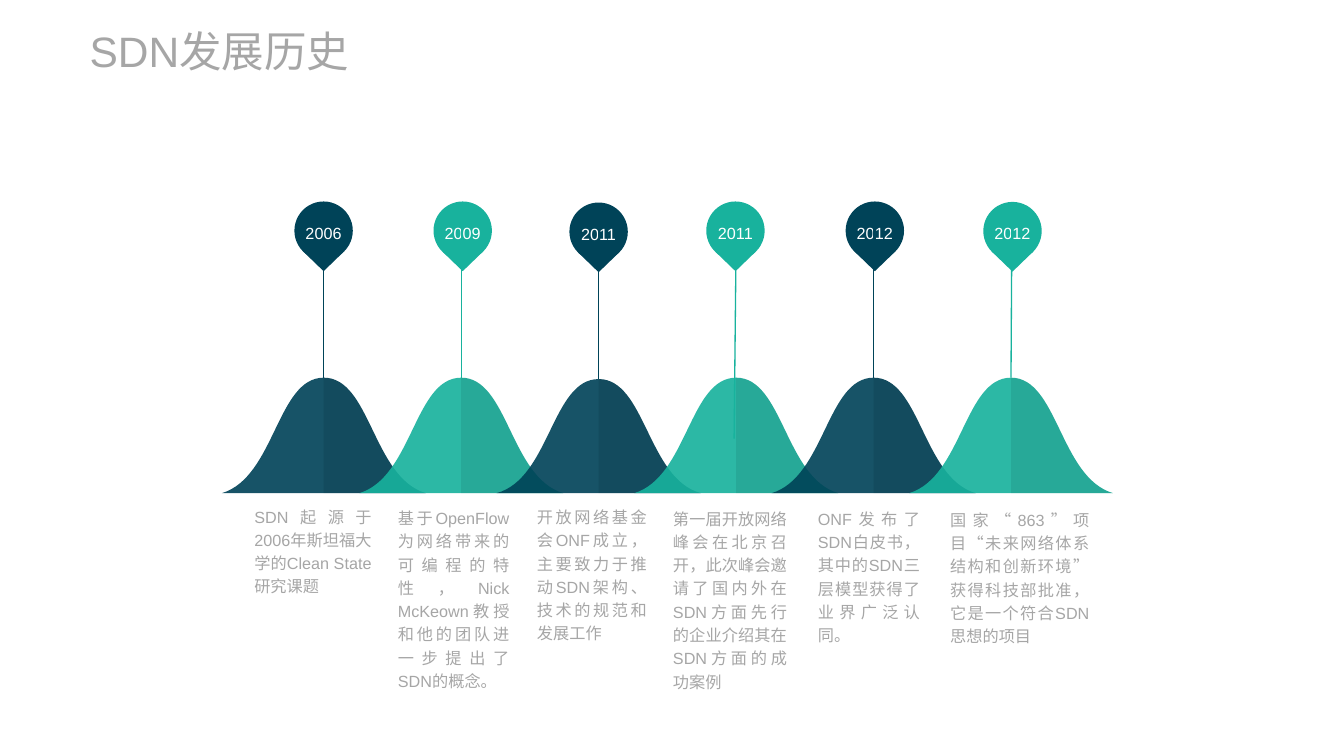
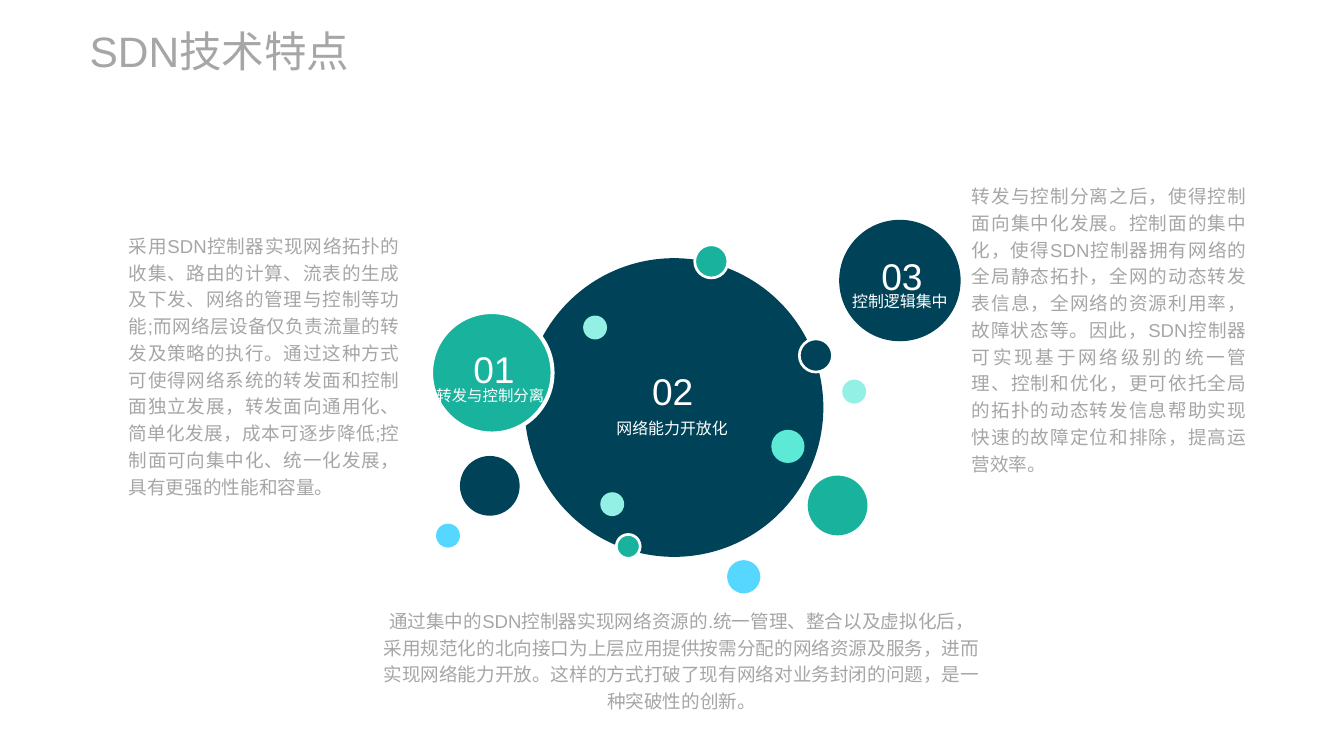
from lxml.etree import SubElement
from pptx import Presentation
from pptx.dml.color import RGBColor
from pptx.enum.shapes import MSO_CONNECTOR, MSO_SHAPE
from pptx.enum.text import MSO_ANCHOR, MSO_AUTO_SIZE, PP_ALIGN
from pptx.oxml.ns import qn
from pptx.util import Pt

FONT = "Arial"
NAVY, TEAL, MINT, AQUA, SKY = "004358", "18B29D", "92F0E4", "5CE9D6", "56D7FF"
GREY, WHITE = "A6A6A6", "FFFFFF"
SHADE = {NAVY: "00222C", TEAL: "0C594F"}

HISTORY = [
    ("2006", NAVY, (191.6, 379, 88.5, 69),
     "SDN起源于2006年斯坦福大学的Clean State研究课题"),
    ("2009", TEAL, (299.7, 380, 84.2, 122),
     "基于OpenFlow 为网络带来的可编程的特性，Nick McKeown教授和他的团队进一步提出了SDN的概念。"),
    ("2011", NAVY, (404.5, 379.2, 83, 104),
     "开放网络基金会ONF成立，主要致力于推动SDN架构、技术的规范和发展工作"),
    ("2011", TEAL, (507, 380.5, 86, 122),
     "第一届开放网络峰会在北京召开，此次峰会邀请了国内外在SDN方面先行的企业介绍其在SDN方面的成功案例"),
    ("2012", NAVY, (616.2, 380.5, 77, 87),
     "ONF发布了SDN白皮书，其中的SDN三层模型获得了业界广泛认同。"),
    ("2012", TEAL, (715.8, 381.4, 105, 104),
     "国家“863”项目“未来网络体系结构和创新环境” 获得科技部批准，它是一个符合SDN思想的项目"),
]
FIRST, STEP = 243.9, 103.55
BASE, HALF = 371.5, 76.8
PEAKS = [284.5, 284.5, 285.6, 284.5, 284.5, 284.5]
PIN = 44
PINS = [(243.8, 151.8), (348.6, 151.8), (451, 152.6),
        (554.1, 151.8), (659.1, 151.8), (762.8, 152.1)]
STEMS = {3: (0, 183, -1.5, 330.5), 5: (0.75, 160.5, 0, 284.5)}

BUBBLES = [
    (395.3, 194.5, 225, NAVY, 0),
    (523.4, 184.4, 25, TEAL, 2),
    (464.3, 402.6, 18, TEAL, 2),
    (634.5, 286, 18, MINT, 0),
    (547.8, 422, 25, SKY, 0),
    (439.3, 237.7, 18, MINT, 0),
    (324.8, 235.1, 91.5, TEAL, 3),
    (581.1, 323.8, 25, AQUA, 0),
    (346.5, 343.5, 45, NAVY, 0),
    (632.2, 165.6, 91.5, NAVY, 0),
    (602.2, 255.3, 25, NAVY, 2),
    (328.5, 394.5, 18, SKY, 0),
    (452.2, 370.8, 18, MINT, 0),
    (608.5, 358.3, 45, TEAL, 0),
]
LABELS = [
    ("01", (348.4, 254, 47.5, 36.5), "转发与控制分离", (328, 288.6, 83, 15), 11.6),
    ("02", (483, 270.5, 47.5, 36.5), "网络能力开放化", (460.6, 313, 91.5, 16), 12),
    ("03", (655.7, 184.5, 47.5, 36.5), "控制逻辑集中", (638, 217.5, 80, 16), 12),
]
NOTES = [
    ((97, 173.5, 204, 201.5), PP_ALIGN.JUSTIFY,
     "采用SDN控制器实现网络拓扑的收集、路由的计算、流表的生成及下发、网络的管理与控制等功能;"
     "而网络层设备仅负责流量的转发及策略的执行。通过这种方式可使得网络系统的转发面和控制面独立发展，"
     "转发面向通用化、简单化发展，成本可逐步降低;控制面可向集中化、统一化发展，具有更强的性能和容量。"),
    ((288.5, 456, 450, 80), PP_ALIGN.CENTER,
     "通过集中的SDN控制器实现网络资源的.统一管理、整合以及虚拟化后，"
     "采用规范化的北向接口为上层应用提供按需分配的网络资源及服务，进而实现网络能力开放。"
     "这样的方式打破了现有网络对业务封闭的问题，是一种突破性的创新。"),
    ((732, 136, 207, 222.5), PP_ALIGN.JUSTIFY,
     "转发与控制分离之后，使得控制面向集中化发展。控制面的集中化，使得SDN控制器拥有网络的全局静态拓扑，"
     "全网的动态转发表信息，全网络的资源利用率，故障状态等。因此，SDN控制器可实现基于网络级别的统一管理、"
     "控制和优化，更可依托全局的拓扑的动态转发信息帮助实现快速的故障定位和排除，提高运营效率。"),
]


def color(code):
    return RGBColor.from_string(code)


def points(*nums):
    return [Pt(num) for num in nums]


def write(shape, text, size, code, align, anchor=MSO_ANCHOR.TOP, space=1.2):
    frame = shape.text_frame
    frame.text = text
    frame.word_wrap = True
    frame.auto_size = MSO_AUTO_SIZE.NONE
    frame.vertical_anchor = anchor
    frame.margin_left = frame.margin_right = 0
    frame.margin_top = frame.margin_bottom = 0
    para = frame.paragraphs[0]
    para._p.get_or_add_pPr().set("hangingPunct", "0")
    para.alignment = align
    para.line_spacing = space
    para.font.name = FONT
    para.font.size = Pt(size)
    para.font.color.rgb = color(code)


def label(slide, box, *style):
    write(slide.shapes.add_textbox(*points(*box)), *style)


def paint(shape, code, edge=0, alpha=100):
    shape.shadow.inherit = False
    shape.fill.solid()
    shape.fill.fore_color.rgb = color(code)
    if alpha < 100:
        tint = shape.fill._xPr.find(qn("a:solidFill"))[0]
        SubElement(tint, qn("a:alpha"), val=str(alpha * 1000))
    if edge:
        shape.line.color.rgb = color(WHITE)
        shape.line.width = Pt(edge)
    else:
        shape.line.fill.background()


def solid(slide, kind, box, code, edge=0):
    shape = slide.shapes.add_shape(kind, *points(*box))
    paint(shape, code, edge)
    return shape


def slope(mid, peak, side):
    dots = [(0, peak), (35.3, peak), (36.7, peak + 75), (HALF, BASE)]
    return [points(mid + side * x, y) for x, y in dots]


def curve(shape, count):
    lines = list(shape._element.iter(qn("a:lnTo")))
    for i in range(0, count * 3, 3):
        bend, *rest = lines[i:i + 3]
        bend.tag = qn("a:cubicBezTo")
        for line in rest:
            bend.append(line[0])
            line.getparent().remove(line)


def area(slide, dots, count, code, alpha):
    form = slide.shapes.build_freeform(*dots[0], scale=1.0)
    form.add_line_segments(dots[1:], close=True)
    shape = form.convert_to_shape()
    curve(shape, count)
    paint(shape, code, alpha=alpha)


def hill(slide, mid, peak, code):
    left, right = slope(mid, peak, -1), slope(mid, peak, 1)
    area(slide, left[::-1] + right[1:], 2, code, 91)
    area(slide, right + [points(mid, BASE)], 1, SHADE[code], 15)


def marker(slide, mid, top, year, code):
    head = solid(slide, MSO_SHAPE.OVAL, (mid - PIN / 2, top, PIN, PIN), code)
    write(head, year, 12.2, WHITE, PP_ALIGN.CENTER, MSO_ANCHOR.MIDDLE)
    solid(slide, MSO_SHAPE.FLOWCHART_MERGE, (mid - 15.5, top + 37.5, 31, 15), code)


def stem(slide, mid, code, ends):
    x1, y1, x2, y2 = ends
    line = slide.shapes.add_connector(
        MSO_CONNECTOR.STRAIGHT, *points(mid + x1, y1, mid + x2, y2))
    line.line.color.rgb = color(code)
    line.line.width = Pt(1)
    SubElement(line.line._get_or_add_ln(), qn("a:headEnd"), type="oval")
    SubElement(line._element.spPr, qn("a:effectLst"))


def start(deck, text):
    slide = deck.slides.add_slide(deck.slide_layouts[5])
    title = slide.shapes.title
    title.left, title.top, title.width, title.height = points(67.5, 18.5, 311, 39)
    write(title, text, 32, GREY, PP_ALIGN.LEFT, MSO_ANCHOR.MIDDLE, 1)
    return slide


def history(deck):
    slide = start(deck, "SDN发展历史")
    mids = [FIRST + STEP * i for i in range(len(HISTORY))]
    for mid, peak, (_, code, _, _) in zip(mids, PEAKS, HISTORY):
        hill(slide, mid, peak, code)
    for (mid, top), (year, code, _, _) in zip(PINS, HISTORY):
        marker(slide, mid, top, year, code)
    for i, (_, code, box, text) in enumerate(HISTORY):
        stem(slide, mids[i], code, STEMS.get(i, (0, 160.5, 0, PEAKS[i])))
        label(slide, box, text, 12.2, GREY, PP_ALIGN.JUSTIFY)


def features(deck):
    slide = start(deck, "SDN技术特点")
    for left, top, size, code, edge in BUBBLES:
        solid(slide, MSO_SHAPE.OVAL, (left, top, size, size), code, edge)
    for num, spot, text, box, size in LABELS:
        label(slide, spot, num, 28, WHITE, PP_ALIGN.CENTER)
        label(slide, box, text, size, WHITE, PP_ALIGN.CENTER, MSO_ANCHOR.MIDDLE)
    for box, align, text in NOTES:
        label(slide, box, text, 14, GREY, align)


def main():
    deck = Presentation()
    deck.slide_width, deck.slide_height = points(1012.5, 569.5)
    history(deck)
    features(deck)
    deck.save("out.pptx")


if __name__ == "__main__":
    main()
